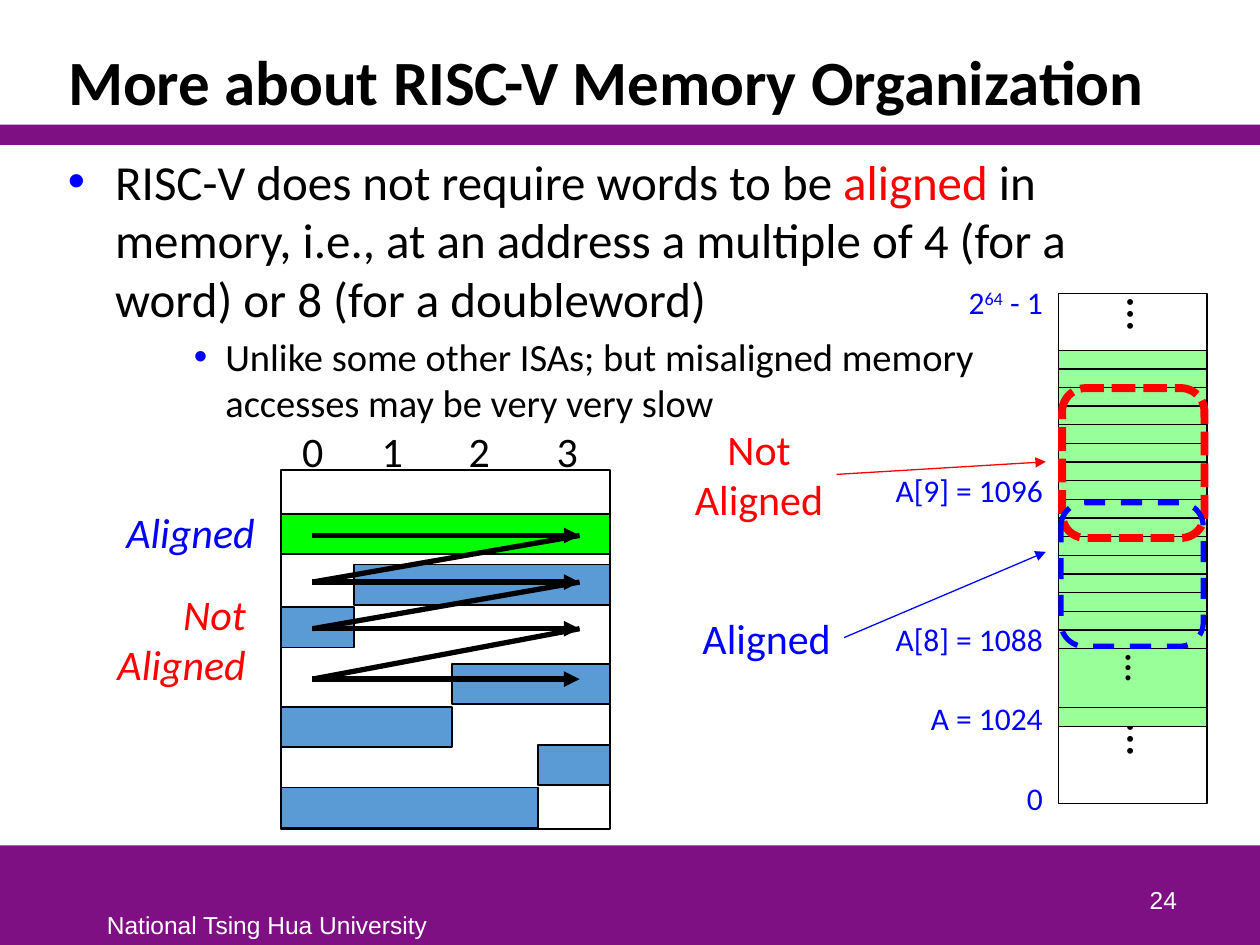
from collections import namedtuple
from lxml import etree
from pptx import Presentation
from pptx.dml.color import RGBColor
from pptx.enum.dml import MSO_LINE
from pptx.enum.shapes import MSO_CONNECTOR, MSO_SHAPE
from pptx.enum.text import MSO_ANCHOR, MSO_AUTO_SIZE, PP_ALIGN
from pptx.oxml.ns import qn
from pptx.util import Inches, Pt

LEFT, MID, RIGHT = PP_ALIGN.LEFT, PP_ALIGN.CENTER, PP_ALIGN.RIGHT
TOP, CENTER, BOTTOM = MSO_ANCHOR.TOP, MSO_ANCHOR.MIDDLE, MSO_ANCHOR.BOTTOM
RECT, ROUND = MSO_SHAPE.RECTANGLE, MSO_SHAPE.ROUNDED_RECTANGLE
DASH, DOTS = MSO_LINE.DASH, MSO_LINE.SQUARE_DOT
STRAIGHT, FIT_NONE = MSO_CONNECTOR.STRAIGHT, MSO_AUTO_SIZE.NONE

COLS, ROWS = 100, 75   # slide grid
CELL = Inches(10) // COLS

Box = namedtuple("Box", "x y w h")


class Theme:
    font, foot = "Calibri", "Arial"
    black, white, purple = "000000", "FFFFFF", "7F1084"
    red, blue = "FF0000", "0000FF"
    lime, mint, sky = "00FF00", "99FF99", "5B9BD5"
    title, body, sub, note, label, small = 36, 28, 22, 24, 18, 14


def cells(*nums):
    return [round(n * CELL) for n in nums]


def inside(box, x, y, w, h):
    return Box(box.x + x, box.y + y, w, h)


def rgb(hue):
    return RGBColor.from_string(hue)


def add_run(para, words, size, hue, font=Theme.font, bold=False, slant=False):
    run = para.add_run()
    run.text = words
    face = run.font
    face.name, face.size, face.bold, face.italic = font, Pt(size), bold, slant
    face.color.rgb = rgb(hue)
    return run


def add_box(slide, box, anchor=TOP, wrap=True):
    frame = slide.shapes.add_textbox(*cells(*box)).text_frame
    frame.word_wrap = wrap
    frame.vertical_anchor = anchor
    return frame


def add_text(slide, box, lines, size, hue, align=LEFT, anchor=TOP, **style):
    frame = add_box(slide, box, anchor, wrap=False)
    for num, words in enumerate(lines):
        para = frame.add_paragraph() if num else frame.paragraphs[0]
        para.alignment = align
        add_run(para, words, size, hue, **style)
    return frame


def add_shape(slide, box, fill=None, line=None, width=1, kind=RECT, dash=None):
    shape = slide.shapes.add_shape(kind, *cells(*box))
    shape.shadow.inherit = False
    if fill:
        shape.fill.solid()
        shape.fill.fore_color.rgb = rgb(fill)
    else:
        shape.fill.background()
    if line:
        shape.line.color.rgb = rgb(line)
        shape.line.width = Pt(width)
        if dash:
            shape.line.dash_style = dash
    else:
        shape.line.fill.background()
    return shape


def add_line(slide, start, end, hue, width, head=True):
    link = slide.shapes.add_connector(STRAIGHT, *cells(*start, *end))
    link.line.color.rgb = rgb(hue)
    link.line.width = Pt(width)
    if head:
        etree.SubElement(link.line._get_or_add_ln(), qn("a:tailEnd"), type="triangle")
    etree.SubElement(link._element.spPr, qn("a:effectLst"))


def add_dots(shape, size, pads):
    """Put an upright ellipsis in the shape."""
    frame = shape.text_frame
    (frame.margin_left, frame.margin_top,
     frame.margin_right, frame.margin_bottom) = cells(*pads)
    frame.vertical_anchor = CENTER
    frame._txBody.bodyPr.set("vert", "eaVert")
    para = frame.paragraphs[0]
    para.alignment = MID
    add_run(para, "…", size, Theme.black, slant=True)


def add_bullet(para, left, hang):
    props = para._p.get_or_add_pPr()
    margin, indent = cells(left, -hang)
    props.set("marL", str(margin))
    props.set("indent", str(indent))
    hue = etree.SubElement(props, qn("a:buClr"))
    etree.SubElement(hue, qn("a:srgbClr"), val=Theme.blue)
    etree.SubElement(props, qn("a:buFont"), typeface="Arial")
    etree.SubElement(props, qn("a:buChar"), char="•")


def add_tabs(para, stops):
    tabs = etree.SubElement(para._p.get_or_add_pPr(), qn("a:tabLst"))
    for stop in cells(*stops):
        etree.SubElement(tabs, qn("a:tab"), pos=str(stop), algn="l")


def draw_title(slide, box):
    title = slide.shapes.title
    title.left, title.top, title.width, title.height = cells(*box)
    frame = title.text_frame
    frame.auto_size, frame.vertical_anchor = FIT_NONE, BOTTOM
    para = frame.paragraphs[0]
    para.alignment, para.line_spacing = LEFT, 0.85
    add_run(para, "More about RISC-V Memory Organization",
            Theme.title, Theme.black, bold=True)
    add_shape(slide, Box(0, box.y + box.h, COLS, 1.6), Theme.purple)


def draw_foot(slide, box):
    add_shape(slide, box, Theme.purple)
    add_text(slide, inside(box, 7.5, 4.6, 27.6, 3.3), ["National Tsing Hua University"],
             Theme.small, Theme.white, font=Theme.foot)
    add_text(slide, inside(box, 73.6, 1, 20.8, 5), ["24"],
             Theme.small, Theme.white, RIGHT, BOTTOM, font=Theme.foot)


def draw_body(slide, box):
    frame = add_box(slide, box)
    main, sub = frame.paragraphs[0], frame.add_paragraph()
    add_bullet(main, 3.75, 3.75)
    for words, hue in (
            ("RISC-V does not require words to be ", Theme.black),
            ("aligned", Theme.red),
            (" in memory, i.e., at an address a multiple of 4 (for a word)"
             " or 8 (for a doubleword)", Theme.black)):
        add_run(main, words, Theme.body, hue)
    sub.space_before = Pt(3)
    add_bullet(sub, 12.5, 2.5)
    add_run(sub, "Unlike some other ISAs; but misaligned memory", Theme.sub, Theme.black)
    sub.add_line_break()
    add_run(sub, "accesses may be very very slow", Theme.sub, Theme.black)


def draw_words(slide, box):
    """Four-byte rows with one aligned word and three split ones."""
    bytes_ = add_box(slide, inside(box, 0.7, -4, box.w, 5)).paragraphs[0]
    add_tabs(bytes_, (6.3, 13.2, 20.2))
    add_run(bytes_, "0\t1\t2\t3", Theme.note, Theme.black)

    add_shape(slide, box, line=Theme.black)
    high = 3.2
    add_shape(slide, inside(box, 0, 3.5, box.w, high), Theme.lime, Theme.black)
    for cut, top in ((5.8, 7.5), (13.6, 15.4), (20.4, 21.8)):
        for x, y, wide in ((cut, top, box.w - cut), (0, top + 3.4, cut)):
            add_shape(slide, inside(box, x, y, wide, high), Theme.sky, Theme.black)

    add_text(slide, inside(box, -13.3, 2.4, 12.2, 5), ["Aligned"],
             Theme.note, Theme.blue, RIGHT, slant=True)
    add_text(slide, inside(box, -14, 8.9, 12.2, 9.2), ["Not", "Aligned"],
             Theme.note, Theme.red, RIGHT, slant=True)

    near, far = box.x + 2.5, box.x + 23.7
    rows = [box.y + y for y in (5.2, 8.9, 12.6, 16.6)]
    for y in rows:
        add_line(slide, (near, y), (far, y), Theme.black, 3)
    for y, below in zip(rows, rows[1:]):
        add_line(slide, (far, y), (near, below), Theme.black, 3, head=False)


def draw_stack(slide, box):
    """Byte column of memory with its addresses and two marked words."""
    def block(y, high, fill):
        return add_shape(slide, inside(box, 0, y, box.w, high), fill, Theme.black, 0.75)

    pads = (2.8, 0.4, 1, 0.5)
    add_dots(block(0, 4.5, Theme.white), Theme.body, pads)
    add_dots(block(33.7, 6.8, Theme.white), Theme.body, pads)
    count, step, first = 16, 1.48, 4.5
    for num in range(count):
        block(first + num * step, step, Theme.mint)
    gap = first + count * step
    block(gap, 4.7, Theme.mint)
    block(gap + 4.7, step, Theme.mint)
    add_dots(add_shape(slide, inside(box, 2, gap + 0.5, 9.4, 3.6), Theme.mint),
             Theme.note, (0, 0, 0, 0))

    def tag(y, lines):
        return add_text(slide, inside(box, -14, y, 13.75, 4), lines,
                        Theme.label, Theme.blue, RIGHT)

    limit = tag(-1.3, ["2"]).paragraphs[0]
    power = add_run(limit, "64", Theme.label, Theme.blue)
    power.font._element.set("baseline", "30000")
    add_run(limit, " - 1", Theme.label, Theme.blue)
    for y, words in ((13.6, "A[9] = 1096"), (25.4, "A[8] = 1088"),
                     (31.7, "A = 1024"), (38, "0")):
        tag(y, [words])

    add_shape(slide, inside(box, 0.3, 7.5, 11.3, 11.9), None, Theme.red, 4.5, ROUND, DOTS)
    add_shape(slide, inside(box, 0.2, 16.6, 11.3, 11.4), None, Theme.blue, 3, ROUND, DASH)
    for spot, lines, hue, rise in (
            (inside(box, -29.3, 24.8, 12.3, 5), ["Aligned"], Theme.blue, 6.8),
            (inside(box, -29.9, 9.8, 12.3, 9.1), ["Not", "Aligned"], Theme.red, 1)):
        add_text(slide, spot, lines, Theme.note, hue, MID)
        edge, mid = spot.x + spot.w, spot.y + spot.h / 2
        add_line(slide, (edge, mid), (box.x - 1, mid - rise), hue, 0.75)


def main():
    deck = Presentation()
    deck.slide_width, deck.slide_height = cells(COLS, ROWS)
    slide = deck.slides.add_slide(deck.slide_layouts[5])
    draw_title(slide, Box(4.4, 2.5, 91.2, 7.4))
    draw_foot(slide, Box(0, 67.1, COLS, 7.9))
    draw_body(slide, Box(4.4, 11.5, 91.2, 55.3))
    draw_words(slide, Box(22.3, 37.3, 26.1, 28.5))
    draw_stack(slide, Box(84, 23.3, 11.8, 40.5))
    deck.save("out.pptx")


if __name__ == "__main__":
    main()
